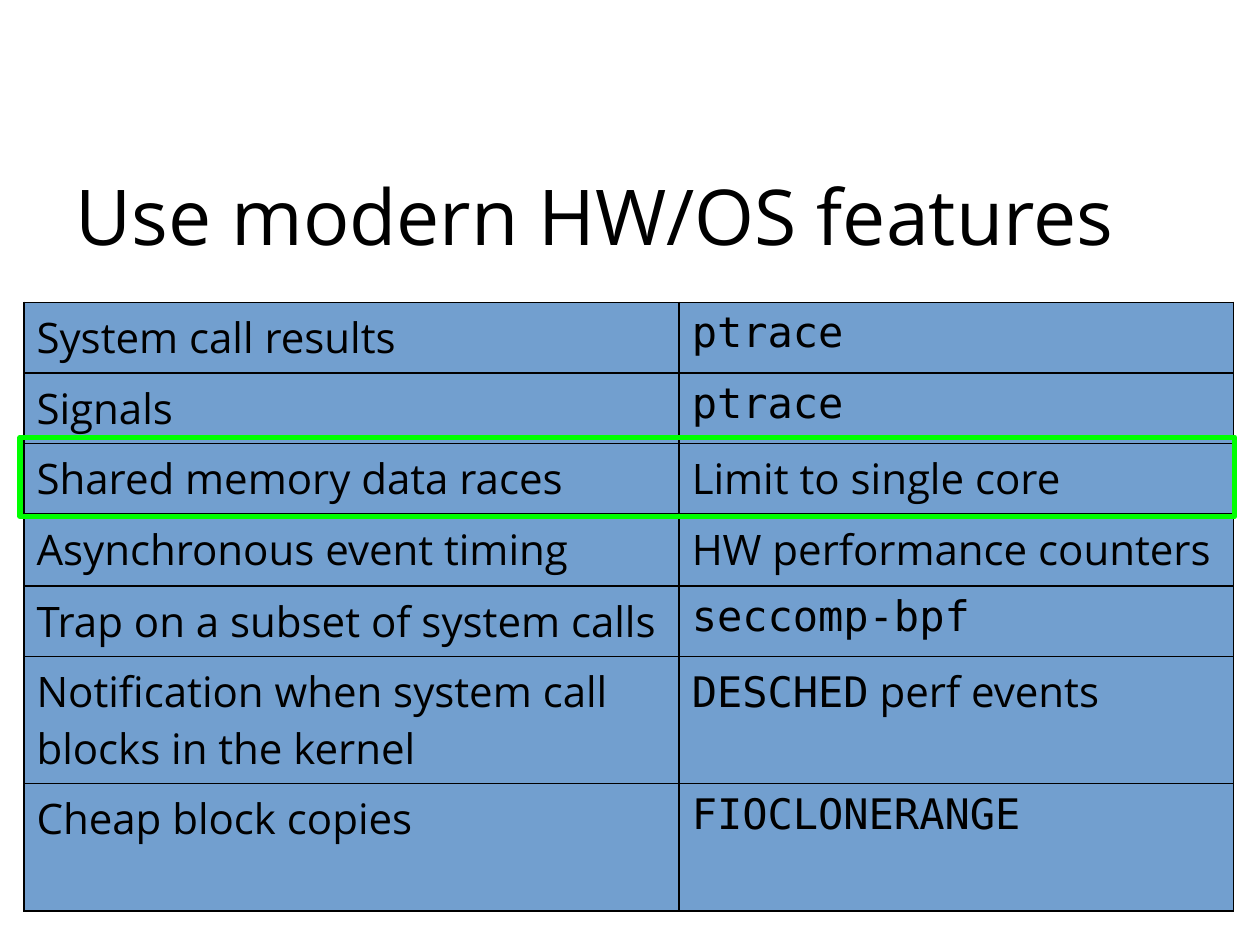
from lxml import etree
from pptx import Presentation
from pptx.dml.color import RGBColor
from pptx.enum.shapes import MSO_SHAPE
from pptx.enum.text import MSO_ANCHOR, MSO_AUTO_SIZE, PP_ALIGN
from pptx.oxml.ns import qn
from pptx.util import Emu, Pt

RECT = MSO_SHAPE.RECTANGLE
MIDDLE = MSO_ANCHOR.MIDDLE
NO_FIT = MSO_AUTO_SIZE.NONE
LEFT = PP_ALIGN.LEFT

PX = 9144  # 100 px to the inch
COLORS = {"text": "000000", "cell": "729FCF", "border": "000000", "highlight": "00FF00"}
SANS = "Open Sans"
MONO = "DejaVu Sans Mono"


def px(*lengths):
    return [Emu(n * PX) for n in lengths]


def add_run(p, text, font, size):
    r = p.add_run()
    r.text = text
    r.font.name = font
    r.font.size = Pt(size)
    r.font.color.rgb = RGBColor.from_string(COLORS["text"])


prs = Presentation()
prs.slide_width, prs.slide_height = px(1000, 750)
s = prs.slides.add_slide(prs.slide_layouts[5])

# Title
title = s.shapes.title
title.left, title.top, title.width, title.height = px(50, 115, 899, 110)
tf = title.text_frame
tf.auto_size = NO_FIT
tf.word_wrap = True
tf.vertical_anchor = MIDDLE
p = tf.paragraphs[0]
p.alignment = LEFT
add_run(p, "Use modern HW/OS features", SANS, 44)

# Table: recording need and the feature that serves it
ROWS = [
    ("System call results", [("ptrace", MONO)], 56),
    ("Signals", [("ptrace", MONO)], 56),
    ("Shared memory data races", [("Limit to single core", SANS)], 56),
    ("Asynchronous event timing", [("HW performance counters", SANS)], 57),
    ("Trap on a subset of system calls", [("seccomp-bpf", MONO)], 56),
    ("Notification when system call blocks in the kernel",
     [("DESCHED", MONO), (" perf events", SANS)], 101),
    ("Cheap block copies", [("FIOCLONERANGE", MONO)], 101),
]
heights = [height for _, _, height in ROWS]
table = s.shapes.add_table(len(ROWS), 2, *px(19, 240, 960, sum(heights))).table
table.first_row = False
table.horz_banding = False
for column, width in zip(table.columns, px(520, 440)):
    column.width = width
for row, (need, feature, height) in zip(table.rows, ROWS):
    row.height = Emu(height * PX)
    for cell, runs in zip(row.cells, ([(need, SANS)], feature)):
        tcPr = cell._tc.get_or_add_tcPr()
        for side in ("a:lnL", "a:lnR", "a:lnT", "a:lnB"):
            ln = etree.SubElement(tcPr, qn(side), w=str(Pt(1)))
            line_fill = etree.SubElement(ln, qn("a:solidFill"))
            etree.SubElement(line_fill, qn("a:srgbClr"), val=COLORS["border"])
        cell.fill.solid()
        cell.fill.fore_color.rgb = RGBColor.from_string(COLORS["cell"])
        for text, font in runs:
            add_run(cell.text_frame.paragraphs[0], text, font, 24)

# Highlight around the data race row
sp = s.shapes.add_shape(RECT, *px(16, 347, 964, 63))
sp.shadow.inherit = False
sp.fill.background()
sp.line.color.rgb = RGBColor.from_string(COLORS["highlight"])
sp.line.width = Pt(3)

prs.save("out.pptx")
